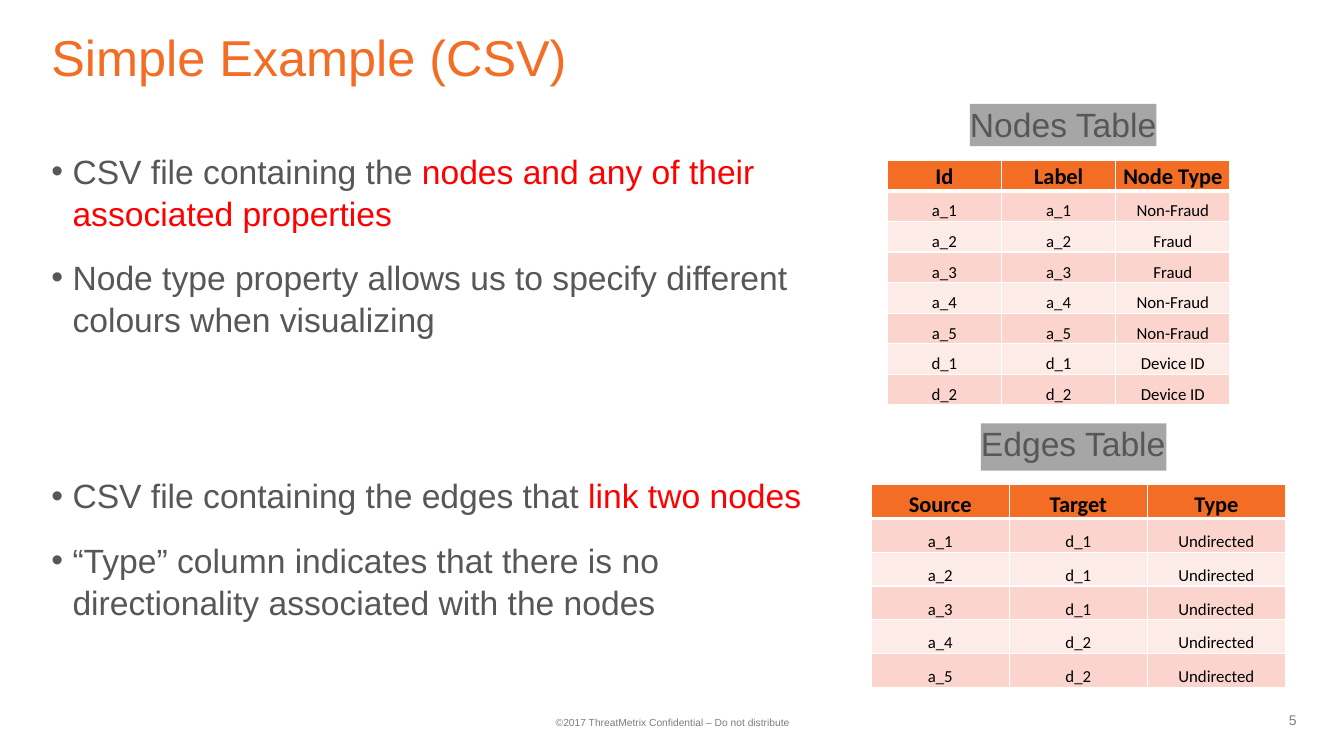
from dataclasses import dataclass

from lxml import etree
from pptx import Presentation
from pptx import util as u
from pptx.dml import color as c
from pptx.enum import shapes, text
from pptx.oxml import ns


@dataclass(frozen=True)
class Theme:
    """Colours, fonts and type sizes of the slide."""
    orange: str = "F36D25"
    grey: str = "575757"
    red: str = "FF0000"
    black: str = "000000"
    white: str = "FFFFFF"
    caption: str = "A6A6A6"
    footer: str = "7D7D7D"
    bands: tuple = ("FAD4CD", "FDEBE8")
    font: str = "Arial"
    table_font: str = "Calibri"
    title_size: float = 36
    body_size: float = 24
    header_size: float = 16
    cell_size: float = 12
    number_size: float = 10
    footer_size: float = 7.3


THEME = Theme()
ALIGN = text.PP_ALIGN


def rgb(value):
    """Turn a hex value into a colour."""
    return c.RGBColor.from_string(value)


def write(paragraph, words, size=THEME.body_size, color=THEME.grey,
          font=THEME.font, bold=False, align=ALIGN.LEFT):
    """Add a formatted run to a paragraph."""
    paragraph.alignment = align
    run = paragraph.add_run()
    run.text = words
    run.font.size = u.Pt(size)
    run.font.name = font
    run.font.bold = bold
    run.font.color.rgb = rgb(color)


def place(part, box):
    """Move a part to a box given in inches."""
    part.left, part.top, part.width, part.height = map(u.Inches, box)


def prepare(frame, anchor=text.MSO_ANCHOR.TOP, wrap=True):
    """Clear the margins of a text frame and return its first paragraph."""
    frame.margin_left = frame.margin_top = frame.margin_right = frame.margin_bottom = 0
    frame.auto_size = text.MSO_AUTO_SIZE.NONE
    frame.vertical_anchor = anchor
    frame.word_wrap = wrap
    return frame.paragraphs[0]


def add_heading(title, box, words):
    """Fill the title placeholder."""
    place(title, box)
    line = prepare(title.text_frame)
    line.line_spacing = u.Pt(37)
    write(line, words, size=THEME.title_size, color=THEME.orange)


def add_bullets(body, box, points):
    """Fill a body placeholder with points made of plain and red wording."""
    place(body, box)
    line = prepare(body.text_frame)
    for index, (plain, highlight) in enumerate(points):
        if index:
            line = body.text_frame.add_paragraph()
        indent = u.Inches(0.21)
        properties = line._p.get_or_add_pPr()
        properties.set("marL", str(indent))
        properties.set("indent", str(-indent))
        line.line_spacing = 1.04
        line.space_before = u.Pt(10 if index else 0)
        line.space_after = u.Pt(6)
        write(line, plain)
        if highlight:
            write(line, highlight, color=THEME.red)


def add_caption(slide, box, words):
    """Draw the grey label above a table."""
    label = slide.shapes.add_shape(shapes.MSO_SHAPE.RECTANGLE, *map(u.Inches, box))
    label.shadow.inherit = False
    label.fill.solid()
    label.fill.fore_color.rgb = rgb(THEME.caption)
    label.line.fill.background()
    write(prepare(label.text_frame, wrap=False), words)


def add_borders(cell, widths):
    """Give a cell white borders, by side and width in points."""
    properties = cell._tc.get_or_add_tcPr()
    for index, (side, width) in enumerate(widths.items()):
        border = etree.Element(ns.qn(f"a:ln{side}"), w=str(u.Pt(width)))
        fill = etree.SubElement(border, ns.qn("a:solidFill"))
        etree.SubElement(fill, ns.qn("a:srgbClr"), val=THEME.white)
        properties.insert(index, border)


def fill_cell(cell, words, is_header, band):
    """Format one table cell and write its value."""
    cell.margin_left = cell.margin_top = cell.margin_right = u.Inches(0.01)
    cell.margin_bottom = 0
    cell.vertical_anchor = text.MSO_ANCHOR.BOTTOM
    cell.fill.solid()
    cell.fill.fore_color.rgb = rgb(THEME.orange if is_header else band)
    add_borders(cell, dict(L=1, R=1, T=1, B=3) if is_header else dict(L=1, R=1, B=1))
    write(cell.text_frame.paragraphs[0], words, font=THEME.table_font,
          size=THEME.header_size if is_header else THEME.cell_size,
          color=THEME.black, bold=is_header, align=ALIGN.CENTER)


def add_records(slide, box, records):
    """Draw a banded table with a header row and equal rows and columns."""
    left, top, width, height = map(u.Inches, box)
    table = slide.shapes.add_table(len(records), len(records[0]),
                                   left, top, width, height).table
    for row, record in enumerate(records):
        table.rows[row].height = height // len(records)
        for column, words in enumerate(record):
            fill_cell(table.cell(row, column), words, row == 0,
                      THEME.bands[(row - 1) % 2])


def add_note(slide, box, words, size, align):
    """Write a small line at the foot of the slide."""
    note = slide.shapes.add_textbox(*map(u.Inches, box))
    line = prepare(note.text_frame, anchor=text.MSO_ANCHOR.MIDDLE)
    write(line, words, size=size, color=THEME.footer, align=align)


def main():
    """Build the slide and save it."""
    deck = Presentation()
    deck.slide_width, deck.slide_height = u.Inches(13.33), u.Inches(7.5)
    slide = deck.slides.add_slide(deck.slide_layouts.get_by_name("Two Content"))
    title, nodes_body, edges_body = slide.placeholders

    node_types = [("a_1", "Non-Fraud"), ("a_2", "Fraud"), ("a_3", "Fraud"),
                  ("a_4", "Non-Fraud"), ("a_5", "Non-Fraud"),
                  ("d_1", "Device ID"), ("d_2", "Device ID")]
    nodes = [("Id", "Label", "Node Type")]
    nodes += [(node, node, kind) for node, kind in node_types]
    links = [("a_1", "d_1"), ("a_2", "d_1"), ("a_3", "d_1"),
             ("a_4", "d_2"), ("a_5", "d_2")]
    edges = [("Source", "Target", "Type")]
    edges += [(source, target, "Undirected") for source, target in links]

    add_heading(title, (0.51, 0.35, 12.33, 1.01), "Simple Example (CSV)")
    add_bullets(nodes_body, (0.51, 1.48, 7.79, 3), [
        ("CSV file containing the ", "nodes and any of their associated properties"),
        ("Node type property allows us to specify different colours when visualizing", ""),
    ])
    add_bullets(edges_body, (0.51, 4.7, 7.79, 1.54), [
        ("CSV file containing the edges that ", "link two nodes"),
        ("“Type” column indicates that there is no directionality "
         "associated with the nodes", ""),
    ])
    add_caption(slide, (9.62, 1.03, 1.85, 0.42), "Nodes Table")
    add_records(slide, (8.8, 1.59, 3.4, 2.43), nodes)
    add_caption(slide, (9.73, 4.2, 1.84, 0.47), "Edges Table")
    add_records(slide, (8.64, 4.81, 4.11, 2.01), edges)
    add_note(slide, (5.21, 7.08, 2.92, 0.17),
             "©2017 ThreatMetrix Confidential – Do not distribute",
             THEME.footer_size, ALIGN.CENTER)
    add_note(slide, (12.32, 7.04, 0.54, 0.21), "5", THEME.number_size, ALIGN.RIGHT)
    deck.save("out.pptx")


if __name__ == "__main__":
    main()
